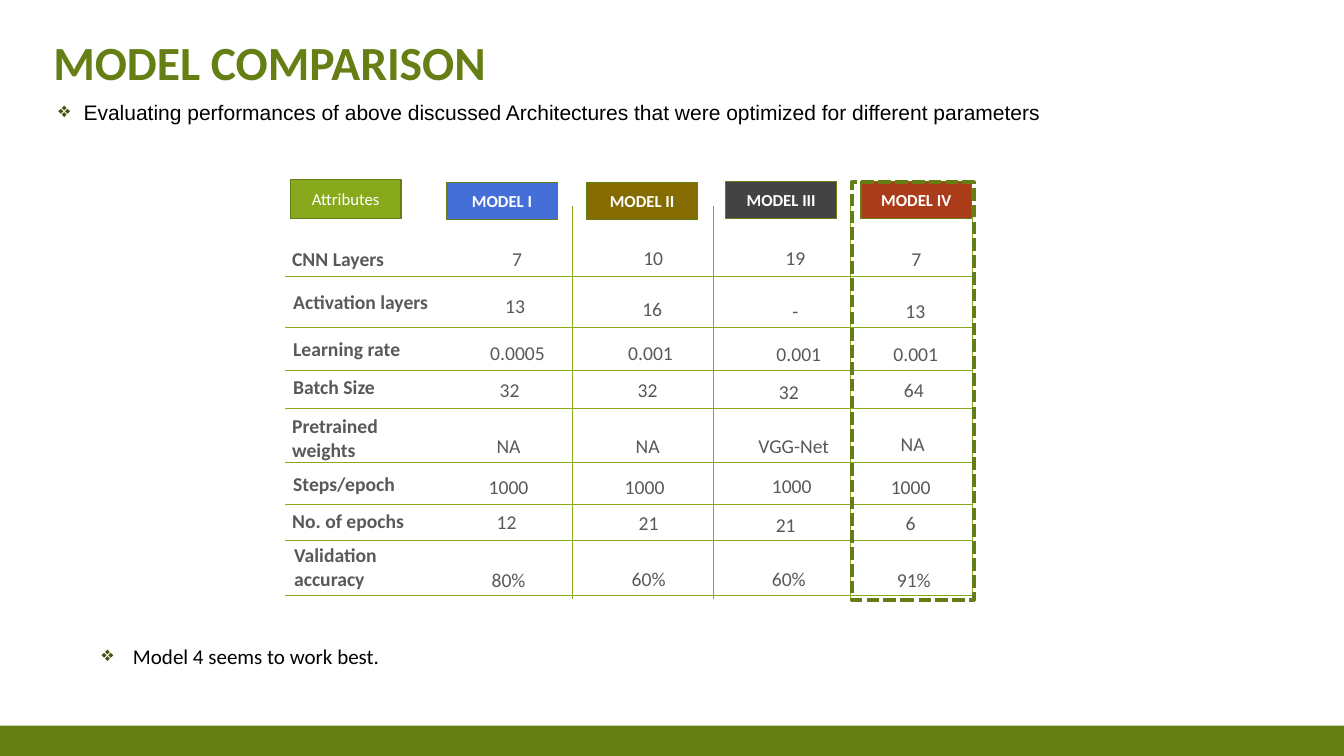
from dataclasses import dataclass

from lxml.etree import SubElement
from pptx import Presentation
from pptx.dml.color import RGBColor
from pptx.enum.dml import MSO_LINE as Dash
from pptx.enum.shapes import MSO_CONNECTOR as Link, MSO_SHAPE as Kind
from pptx.enum.text import MSO_ANCHOR as Anchor, MSO_AUTO_SIZE as Fit, PP_ALIGN as Align
from pptx.oxml.ns import qn
from pptx.util import Inches, Pt

GREEN, LIME, EDGE, GRAY = "657F14", "87A91B", "647D14", "595959"
WHITE, BLACK, BULLET = "FFFFFF", "000000", "43540D"
Box = tuple[float, float, float, float]  # left, top, width, height in % of the slide

deck = Presentation()
deck.slide_width, deck.slide_height = Inches(13.33), Inches(7.5)
slide = deck.slides.add_slide(deck.slide_layouts[6])


@dataclass
class Head:
    text: str
    fill: str
    left: float
    top: float = 24
    high: float = 4.93
    bold: bool = True


@dataclass
class Row:
    """A table row: label, its box, values with centres and tops, and the rule below."""
    label: str
    box: Box
    vals: tuple[str, ...]
    mids: tuple[float, ...]
    tops: tuple[float, ...]
    rule: float
    wide: float = 5.78


HEADS = [
    Head("Attributes", LIME, 21.6, 23.73, 5.2, False),
    Head("MODEL I", "446ED8", 33.23, 24.13),
    Head("MODEL II", "846B02", 43.65, 24.13),
    Head("MODEL III", "434343", 54),
    Head("MODEL IV", "AB3C19", 64.05),
]
LINE, TWO = 4.53, 7.6  # heights of one and two lines of text
ROWS = [
    Row("CNN Layers", (21, 32, 8.85, LINE), ("7", "10", "19", "7"),
        (38.48, 48.6, 59.18, 68.18), (32, 31.87, 31.87, 32), 36.53, 3.6),
    Row("Activation layers", (21.08, 37.73, 12.08, LINE), ("13", "16", "-", "13"),
        (38.33, 48.53, 59.18, 68.1), (38.27, 38.67, 38.93, 38.93), 43.33, 3.6),
    Row("Learning rate", (21.08, 43.87, 10.13, LINE), ("0.0005", "0.001", "0.001", "0.001"),
        (38.51, 48.41, 59.44, 68.14), (44.4, 44.4, 44.53, 44.53), 48.93),
    Row("Batch Size", (21.08, 48.93, 10.13, LINE), ("32", "32", "32", "64"),
        (37.91, 48.19, 58.69, 67.99), (49.33, 49.33, 49.6, 49.33), 54),
    Row("Pretrained weights", (21, 54.13, 10.13, TWO), ("NA", "NA", "VGG-Net", "NA"),
        (37.84, 48.19, 59.06, 67.91), (56.8, 56.8, 56.8, 56.53), 61.2, 6.98),
    Row("Steps/epoch", (21.08, 61.73, 10.13, LINE), ("1000", "1000", "1000", "1000"),
        (37.84, 47.96, 58.91, 67.76), (62.13, 62.13, 62, 62.13), 66.67),
    Row("No. of epochs", (21, 66.67, 10.13, LINE), ("12", "21", "21", "6"),
        (37.69, 48.26, 58.46, 67.76), (66.8, 66.93, 67.2, 66.93), 71.47),
    Row("Validation accuracy", (21.15, 71.2, 10.13, TWO), ("80%", "60%", "60%", "91%"),
        (37.84, 48.26, 58.69, 67.99), (74.4, 74.27, 74.27, 74.4), 78.8),
]
COLS = (42.6, 53.1, 63.3, 72.38)


def color(code: str) -> RGBColor:
    return RGBColor.from_string(code)


def place(box: Box) -> list[int]:
    """Turn shares of the slide into lengths."""
    sides = (deck.slide_width, deck.slide_height) * 2
    return [round(part * side / 100) for part, side in zip(box, sides)]


def bullet(para, left: float, hang: float) -> None:
    props = para._p.get_or_add_pPr()
    props.set("marL", str(Inches(left)))
    props.set("indent", str(-Inches(hang)))
    tint = SubElement(props, qn("a:buClr"))
    SubElement(tint, qn("a:srgbClr")).set("val", BULLET)
    SubElement(props, qn("a:buChar")).set("char", "❖")


def write(shape, text: str, *, size: float = 14, tint: str = GRAY, bold: bool = False,
          font: str = "Calibri", align=Align.LEFT, anchor=Anchor.TOP,
          fit=Fit.NONE, space: float = 1, mark=None) -> None:
    frame = shape.text_frame
    frame.word_wrap, frame.auto_size = True, fit
    frame.vertical_anchor = anchor
    para = frame.paragraphs[0]
    para.alignment, para.line_spacing = align, space
    if mark:
        bullet(para, *mark)
    run = para.add_run()
    run.text = text
    run.font.name, run.font.size, run.font.bold = font, Pt(size), bold
    run.font.color.rgb = color(tint)


def label(box: Box, text: str, **form) -> None:
    write(slide.shapes.add_textbox(*place(box)), text, **form)


def block(box: Box, fill: str = "", edge: str = "", width: float = 1):
    shape = slide.shapes.add_shape(Kind.RECTANGLE, *place(box))
    shape.shadow.inherit = False
    if fill:
        shape.fill.solid()
        shape.fill.fore_color.rgb = color(fill)
    else:
        shape.fill.background()
    if edge:
        shape.line.color.rgb = color(edge)
        shape.line.width = Pt(width)
    else:
        shape.line.fill.background()
    return shape


def rule(ends: Box) -> None:
    line = slide.shapes.add_connector(Link.STRAIGHT, *place(ends))
    line.line.color.rgb = color(LIME)
    line.line.width = Pt(0.5)
    SubElement(line._element.spPr, qn("a:effectLst"))


def table() -> None:
    for head in HEADS:
        shape = block((head.left, head.top, 8.25, head.high), head.fill, EDGE)
        write(shape, head.text, size=12, tint=WHITE, bold=head.bold,
              align=Align.CENTER, anchor=Anchor.MIDDLE)
    for x in COLS:
        rule((x, 27.2, x, 79.2))
    for row in ROWS:
        rule((21.2, row.rule, 72.3, row.rule))
        label(row.box, row.label, bold=True, fit=Fit.SHAPE_TO_FIT_TEXT)
        for text, mid, top in zip(row.vals, row.mids, row.tops):
            label((mid - row.wide / 2, top, row.wide, LINE), text,
                  align=Align.CENTER, fit=Fit.SHAPE_TO_FIT_TEXT)
    frame = block((63.38, 24.13, 9.08, 55.2), edge=EDGE, width=3)
    frame.line.dash_style = Dash.SQUARE_DOT


def main() -> None:
    block((0, 96, 100, 4), GREEN)
    label((3.23, 2, 75, 10.67), "MODEL COMPARISON", size=34, tint=GREEN, bold=True,
          anchor=Anchor.BOTTOM, space=0.9)
    label((3.23, 12.53, 90.75, 8.27),
          "Evaluating performances of above discussed Architectures "
          "that were optimized for different parameters",
          size=15, tint=BLACK, font="Arial", align=Align.JUSTIFY, mark=(0.3, 0.25))
    table()
    label((6.83, 84.53, 51.3, 4.67), "Model 4 seems to work best.", size=15, tint=BLACK,
          fit=Fit.SHAPE_TO_FIT_TEXT, mark=(0.31, 0.31))
    deck.save("out.pptx")


if __name__ == "__main__":
    main()
